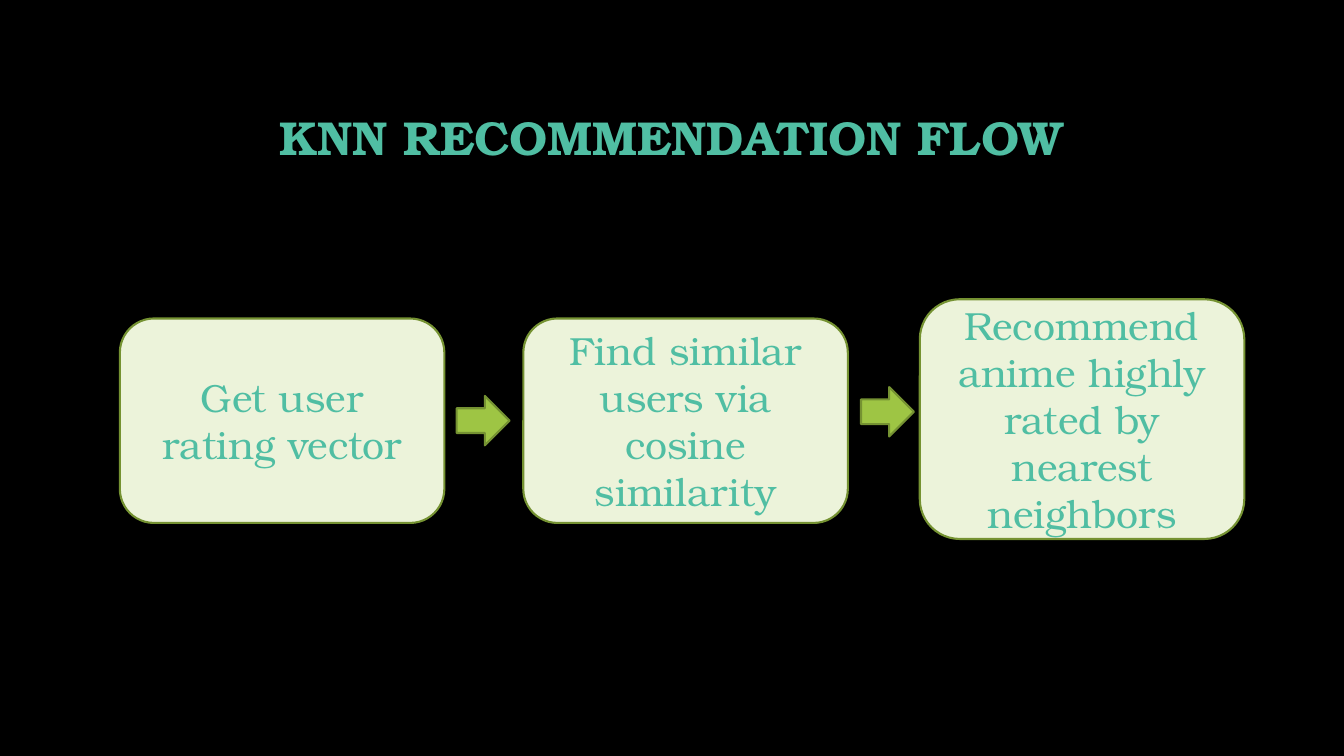
from pptx import Presentation
from pptx.dml.color import RGBColor
from pptx.enum import shapes, text
from pptx.util import Pt

COLORS = {
    "background": "000000",
    "text": "50BEA3",
    "step": "ECF3DA",
    "arrow": "9EC544",
    "outline": "759232",
}


def write(shape, content, line_spacing, font_format):
    frame = shape.text_frame
    frame.word_wrap = True
    frame.auto_size = text.MSO_AUTO_SIZE.NONE
    frame.vertical_anchor = text.MSO_ANCHOR.MIDDLE
    frame.text = content
    paragraph = frame.paragraphs[0]
    paragraph.alignment = text.PP_ALIGN.CENTER
    paragraph.line_spacing = line_spacing
    font = paragraph.runs[0].font
    for name, value in font_format.items():
        setattr(font, name, value)
    font.color.rgb = RGBColor.from_string(COLORS["text"])


def add_block(slide, kind, box, color):
    shape = slide.shapes.add_shape(kind, *map(Pt, box))
    shape.shadow.inherit = False
    shape.fill.solid()
    shape.fill.fore_color.rgb = RGBColor.from_string(COLORS[color])
    shape.line.color.rgb = RGBColor.from_string(COLORS["outline"])
    shape.line.width = Pt(1.5)
    return shape


presentation = Presentation()
presentation.slide_width = Pt(960)
presentation.slide_height = Pt(540)
slide = presentation.slides.add_slide(presentation.slide_layouts[5])
slide.background.fill.solid()
slide.background.fill.fore_color.rgb = RGBColor.from_string(COLORS["background"])

title = slide.shapes.title
title_box = {"left": 72, "top": 48.2, "width": 815, "height": 104.4}
for side, length in title_box.items():
    setattr(title, side, Pt(length))
title_format = {"name": "TeX Gyre Bonum", "size": Pt(34), "bold": True}
write(title, "KNN RECOMMENDATION FLOW", 0.9, title_format)

steps = [
    ("Get user rating vector", 85.6, 227.5, 146),
    ("Find similar users via cosine similarity", 373.8, 227.5, 146),
    ("Recommend anime highly rated by nearest neighbors", 657, 213.8, 171.2),
]
step_format = {"name": "TeX Gyre Bonum", "size": Pt(28), "bold": False}
for content, left, top, height in steps:
    box = (left, top, 231.8, height)
    step = add_block(slide, shapes.MSO_SHAPE.ROUNDED_RECTANGLE, box, "step")
    write(step, content, 1.0, step_format)

for left, top in [(326.2, 282.8), (615, 276.5)]:
    add_block(slide, shapes.MSO_SHAPE.RIGHT_ARROW, (left, top, 37.8, 35.3), "arrow")

presentation.save("out.pptx")
